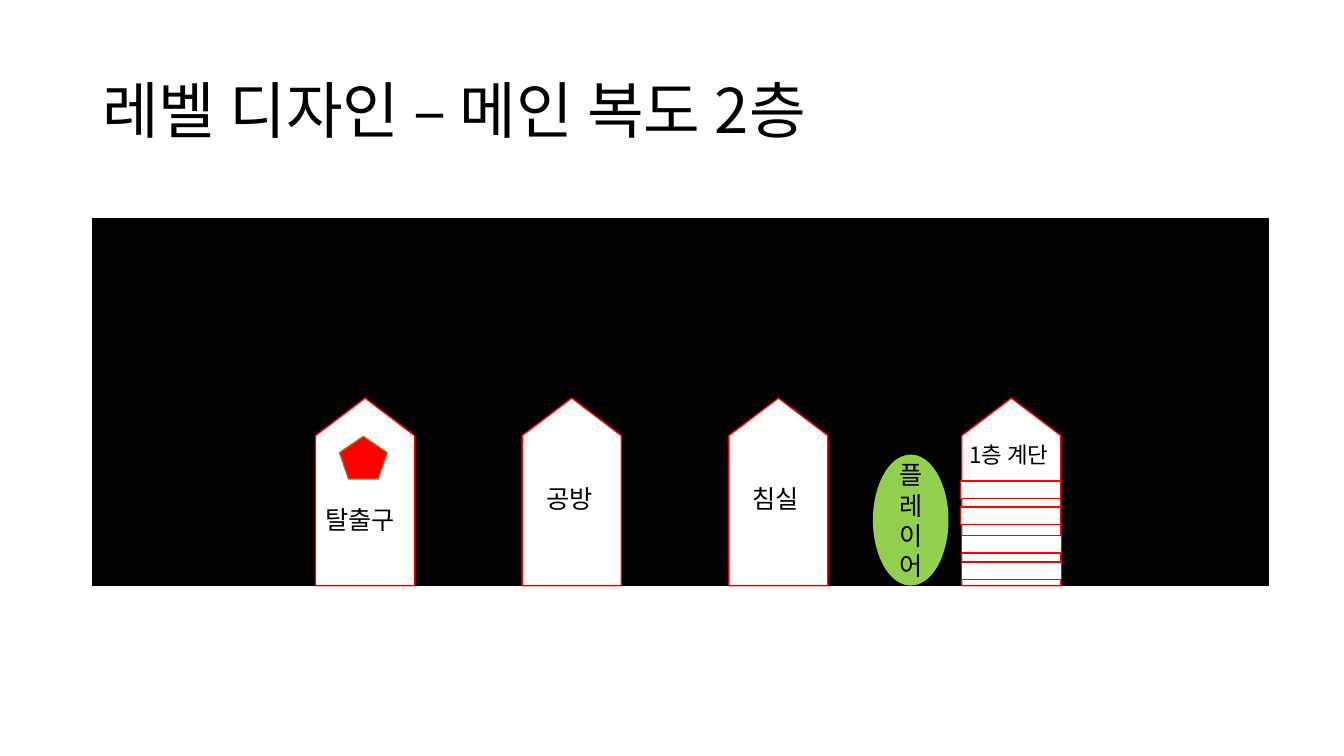
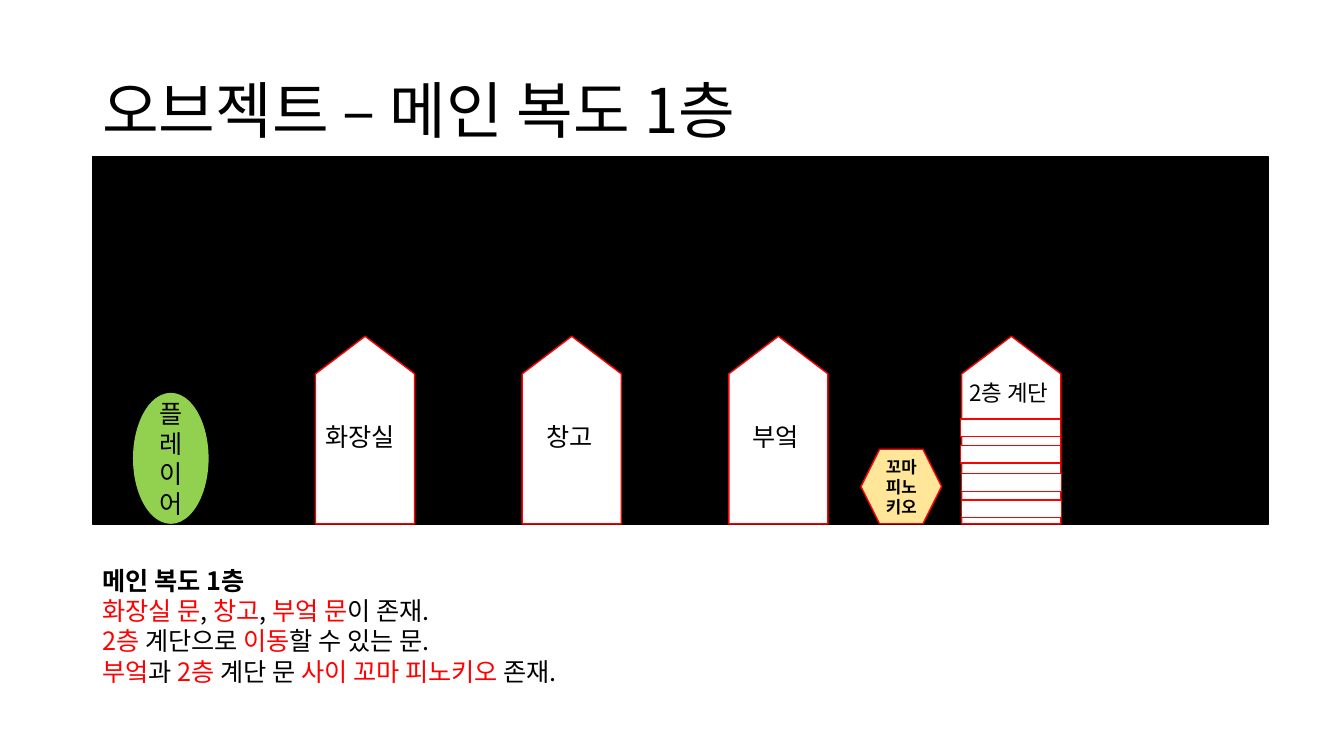
from pptx import Presentation
from pptx.dml.color import RGBColor
from pptx.enum.shapes import MSO_SHAPE as Preset
from pptx.enum.text import MSO_ANCHOR as Anchor, PP_ALIGN as Align
from pptx.oxml.ns import qn
from pptx.util import Pt
from lxml.etree import SubElement

BLACK = RGBColor(0x00, 0x00, 0x00)
WHITE = RGBColor(0xFF, 0xFF, 0xFF)
RED = RGBColor(0xFF, 0x00, 0x00)
GREEN = RGBColor(0x92, 0xD0, 0x50)
CREAM = RGBColor(0xFF, 0xE6, 0x99)
BROWN = RGBColor(0xAF, 0x5C, 0x24)
FONT = "Noto Sans CJK KR"

# Corridor geometry, in points
LEFT, WIDTH, HEIGHT = 66, 840, 262
DOOR_LEFT, DOOR_STEP, DOOR_WIDTH, DOOR_HEIGHT = 225.4, 147.6, 70.8, 134
STAIRS_LEFT = 687


def apply(target, values):
    for name, value in values.items():
        setattr(target, name, value)


class LevelDeck:
    """Holds the deck, the current page and the top of its corridor."""

    def __init__(self):
        self.deck = Presentation()
        apply(self.deck, {"slide_width": Pt(960), "slide_height": Pt(540)})
        self.page = None
        self.top = 0

    @property
    def floor(self):
        return self.top + HEIGHT

    def fill_text(self, shape, paragraphs, size, bold=False, anchor=Anchor.TOP, align=Align.LEFT, spacing=1.0):
        """Each paragraph is a list of (text, colour) or (text, colour, bold)."""
        frame = shape.text_frame
        apply(frame, {"word_wrap": True, "vertical_anchor": anchor})
        for index, spans in enumerate(paragraphs):
            para = frame.add_paragraph() if index else frame.paragraphs[0]
            apply(para, {"alignment": align, "line_spacing": spacing})
            for text, color, *weight in spans:
                span = para.add_run()
                span.text = text
                apply(span.font, {"size": Pt(size), "name": FONT, "bold": weight[0] if weight else bold})
                span.font.color.rgb = color
                east_asian = SubElement(span.font._element, qn("a:ea"))
                east_asian.set("typeface", FONT)

    def text(self, left, top, width, height, paragraphs, size, **style):
        box = self.page.shapes.add_textbox(Pt(left), Pt(top), Pt(width), Pt(height))
        self.fill_text(box, paragraphs, size, **style)

    def shape(self, preset, left, top, width, height, fill, line=None):
        shape = self.page.shapes.add_shape(preset, Pt(left), Pt(top), Pt(width), Pt(height))
        shape.shadow.inherit = False
        shape.fill.solid()
        shape.fill.fore_color.rgb = fill
        if line is None:
            shape.line.fill.background()
        else:
            shape.line.color.rgb = line
            shape.line.width = Pt(1)
        return shape

    def add_page(self, title, corridor_top):
        self.page = self.deck.slides.add_slide(self.deck.slide_layouts[6])
        self.top = corridor_top
        self.text(LEFT, 28.8, 828, 104.4, [[(title, BLACK)]], 44, anchor=Anchor.MIDDLE, spacing=0.9)

    def corridor(self):
        """Black wall, four doors and the steps of the staircase."""
        self.shape(Preset.RECTANGLE, LEFT, self.top, WIDTH, HEIGHT, BLACK, BLACK)
        for left in [DOOR_LEFT + DOOR_STEP * index for index in range(3)] + [STAIRS_LEFT]:
            door = self.shape(Preset.FLOWCHART_OFFPAGE_CONNECTOR, left, self.floor - DOOR_HEIGHT,
                              DOOR_WIDTH, DOOR_HEIGHT, WHITE, RED)
            door.rotation = 180
        for left, drop in ((674, 215.3), (673.3, 176.2)):
            self.shape(Preset.MATH_EQUAL, left, self.top + drop, 97.2, 53.3, WHITE, RED)

    def player(self, left):
        body = self.shape(Preset.OVAL, left, self.floor - 93.6, 54, 93.6, GREEN)
        self.fill_text(body, [[("플레이어", BLACK)]], 18, anchor=Anchor.MIDDLE, align=Align.CENTER)

    def labels(self, doors, stairs):
        """Doors are (name, distance below the corridor top)."""
        for index, (name, drop) in enumerate(doors):
            indent = 0 if len(name) > 2 else 10
            self.text(DOOR_LEFT + DOOR_STEP * index + indent, self.top + drop, DOOR_WIDTH, 30,
                      [[(name, BLACK)]], 18)
        self.text(685.4, self.top + 155.2, 80, 26.6, [[(stairs, BLACK)]], 16)

    def exit_mark(self):
        self.shape(Preset.REGULAR_PENTAGON, 242.6, self.top + 155.5, 34, 30.4, RED, BROWN)

    def enemy(self, name):
        body = self.shape(Preset.HEXAGON, 615, self.floor - 53.3, 57.6, 53.3, CREAM, RED)
        self.fill_text(body, [[(name, BLACK)]], 12, bold=True, anchor=Anchor.MIDDLE, align=Align.CENTER)

    def notes(self, paragraphs):
        self.text(LEFT, self.floor + 26, WIDTH, 94.3, paragraphs, 18)


def main():
    level = LevelDeck()

    # Second floor
    level.add_page("레벨 디자인 – 메인 복도 2층", 156.3)
    level.corridor()
    level.player(623.5)
    level.labels([("탈출구", 200.2), ("공방", 185.4), ("침실", 185.4)], "1층 계단")
    level.exit_mark()

    # First floor
    level.add_page("오브젝트 – 메인 복도 1층", 112.2)
    level.corridor()
    level.player(95)
    level.labels([(name, 185.2) for name in ("화장실", "창고", "부엌")], "2층 계단")
    level.notes([
        [("메인 복도 1층", BLACK, True)],
        [("화장실 문", RED), (", ", BLACK), ("창고", RED), (", ", BLACK), ("부엌 문", RED), ("이 존재.", BLACK)],
        [("2층", RED), (" 계단으로 ", BLACK), ("이동", RED), ("할 수 있는 문.", BLACK)],
        [("부엌", RED), ("과 ", BLACK), ("2층", RED), (" 계단 문 ", BLACK),
         ("사이 꼬마 피노키오 ", RED), ("존재.", BLACK)],
    ])
    level.enemy("꼬마 피노키오")

    level.deck.save("out.pptx")


if __name__ == "__main__":
    main()
